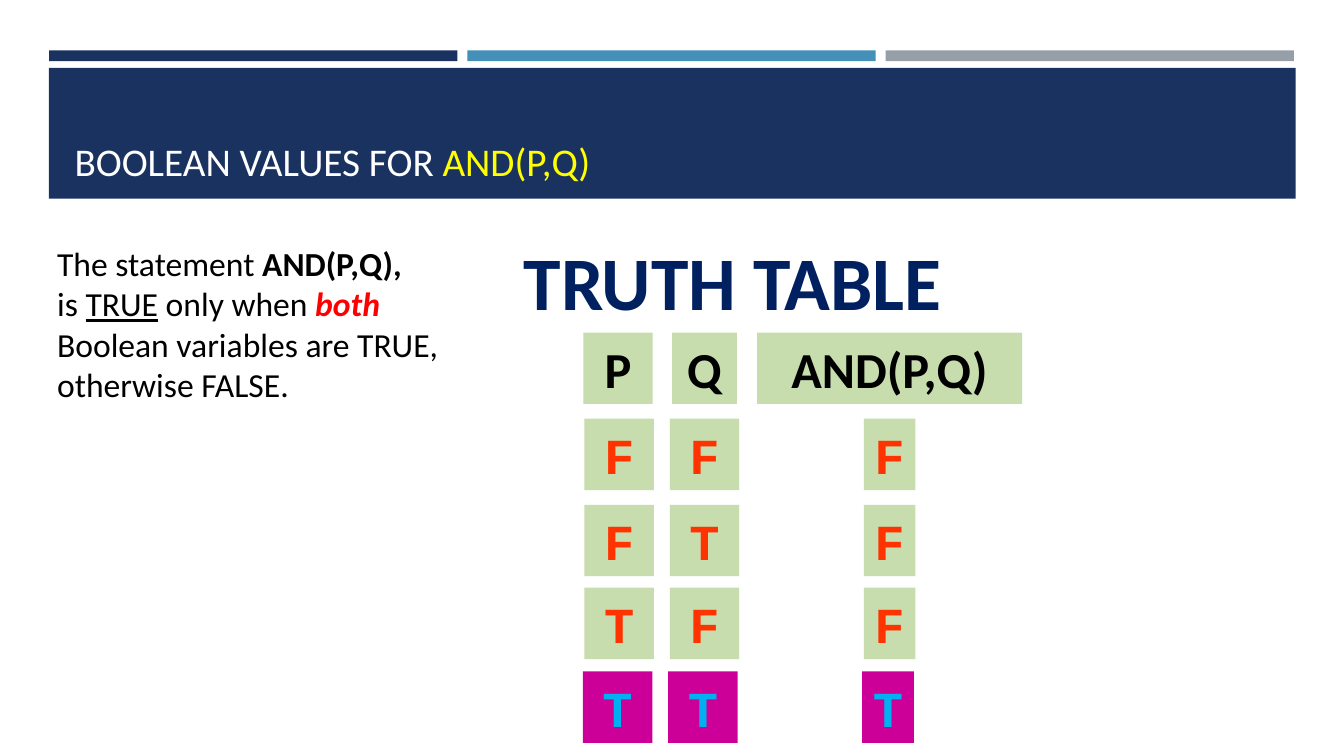
import itertools
from dataclasses import dataclass

import pptx
import pptx.dml.color
import pptx.enum.shapes
import pptx.enum.text
import pptx.util

Cm = pptx.util.Cm
ANCHOR = pptx.enum.text.MSO_ANCHOR
ALIGN = pptx.enum.text.PP_ALIGN


@dataclass(frozen=True)
class Theme:
    navy: str = "1A3260"
    blue: str = "4590B8"
    grey: str = "969FA7"
    white: str = "FFFFFF"
    black: str = "000000"
    yellow: str = "FFFF00"
    red: str = "FF0000"
    heading: str = "002060"
    cell: str = "C7DDAD"
    cell_text: str = "FF3300"
    true_cell: str = "CC0099"
    true_text: str = "00B0F0"
    body_font: str = "Calibri"
    value_font: str = "Courier New"
    body_size: int = 24
    title_size: int = 28
    cell_size: int = 36
    heading_size: int = 54


class SlideBuilder:
    def __init__(self, slide, theme):
        self.slide = slide
        self.theme = theme

    def style_font(self, font, name, size, color, bold=None):
        font.name = name
        font.size = pptx.util.Pt(size)
        font.bold = bold
        self.set_color(font, color)

    def set_color(self, font, color):
        font.color.rgb = pptx.dml.color.RGBColor.from_string(color)

    def rectangle(self, left, top, width, height, fill):
        shape = self.slide.shapes.add_shape(
            pptx.enum.shapes.MSO_SHAPE.RECTANGLE,
            Cm(left), Cm(top), Cm(width), Cm(height))
        shape.shadow.inherit = False
        shape.fill.solid()
        shape.fill.fore_color.rgb = pptx.dml.color.RGBColor.from_string(fill)
        shape.line.fill.background()
        return shape

    def cell(self, left, top, width, text, fill, color, font_name):
        frame = self.rectangle(left, top, width, 1.8, fill).text_frame
        frame.word_wrap = False
        frame.vertical_anchor = ANCHOR.MIDDLE
        para = frame.paragraphs[0]
        para.text = text
        para.alignment = ALIGN.CENTER
        self.style_font(para.font, font_name, self.theme.cell_size, color, True)

    def text(self, left, top, width, height, lines, size, color,
             bold=None, anchor=ANCHOR.TOP):
        """Each line is a list of (text, style) runs; style may hold color, bold, italic, underline."""
        box = self.slide.shapes.add_textbox(Cm(left), Cm(top), Cm(width), Cm(height))
        frame = box.text_frame
        frame.word_wrap = True
        frame.vertical_anchor = anchor
        for index, line in enumerate(lines):
            para = frame.add_paragraph() if index else frame.paragraphs[0]
            self.style_font(para.font, self.theme.body_font, size, color, bold)
            for words, style in line:
                span = para.add_run()
                span.text = words
                for key, value in style.items():
                    if key == "color":
                        self.set_color(span.font, value)
                    else:
                        setattr(span.font, key, value)


def add_banner(builder):
    theme = builder.theme
    for index, color in enumerate((theme.navy, theme.blue, theme.grey)):
        builder.rectangle(1.24 + 10.54 * index, 1.27, 10.29, 0.27, color)
    builder.rectangle(1.23, 1.71, 31.42, 3.3, theme.navy)
    title = [("BOOLEAN VALUES FOR ", {}), ("AND(P,Q)", {"color": theme.yellow})]
    builder.text(1.63, 1.96, 30.63, 2.82, [title], theme.title_size,
                 theme.white, anchor=ANCHOR.BOTTOM)


def add_statement(builder):
    theme = builder.theme
    lines = [
        [("The statement ", {}), ("AND(P,Q),", {"bold": True})],
        [("is ", {}), ("TRUE", {"underline": True}), (" only when ", {}),
         ("both", {"color": theme.red, "bold": True, "italic": True})],
        [("Boolean variables are TRUE,", {})],
        [("otherwise FALSE.", {})],
    ]
    builder.text(1.19, 6, 10.62, 4.37, lines, theme.body_size, theme.black)


def add_truth_table(builder):
    theme = builder.theme
    builder.text(12.95, 5.79, 14.35, 2.57, [[("TRUTH TABLE", {})]],
                 theme.heading_size, theme.heading, bold=True)
    headers = (("P", 14.7, 1.75), ("Q", 16.94, 1.63), ("AND(P,Q)", 19.08, 6.68))
    for label, left, width in headers:
        builder.cell(left, 8.38, width, label, theme.cell, theme.black,
                     theme.body_font)

    columns = ((14.73, 1.75), (16.88, 1.75), (21.77, 1.3))
    row_tops = (10.55, 12.72, 14.81, 16.92)
    for top, (p, q) in zip(row_tops, itertools.product((False, True), repeat=2)):
        result = p and q
        fill = theme.true_cell if result else theme.cell
        color = theme.true_text if result else theme.cell_text
        shift = -0.04 if result else 0
        for (left, width), value in zip(columns, (p, q, result)):
            builder.cell(left + shift, top, width, "T" if value else "F",
                         fill, color, theme.value_font)


def main():
    deck = pptx.Presentation()
    deck.slide_width = Cm(33.87)
    deck.slide_height = Cm(19.05)
    page = deck.slides.add_slide(deck.slide_layouts[6])
    builder = SlideBuilder(page, Theme())
    add_banner(builder)
    add_statement(builder)
    add_truth_table(builder)
    deck.save("out.pptx")


if __name__ == "__main__":
    main()
